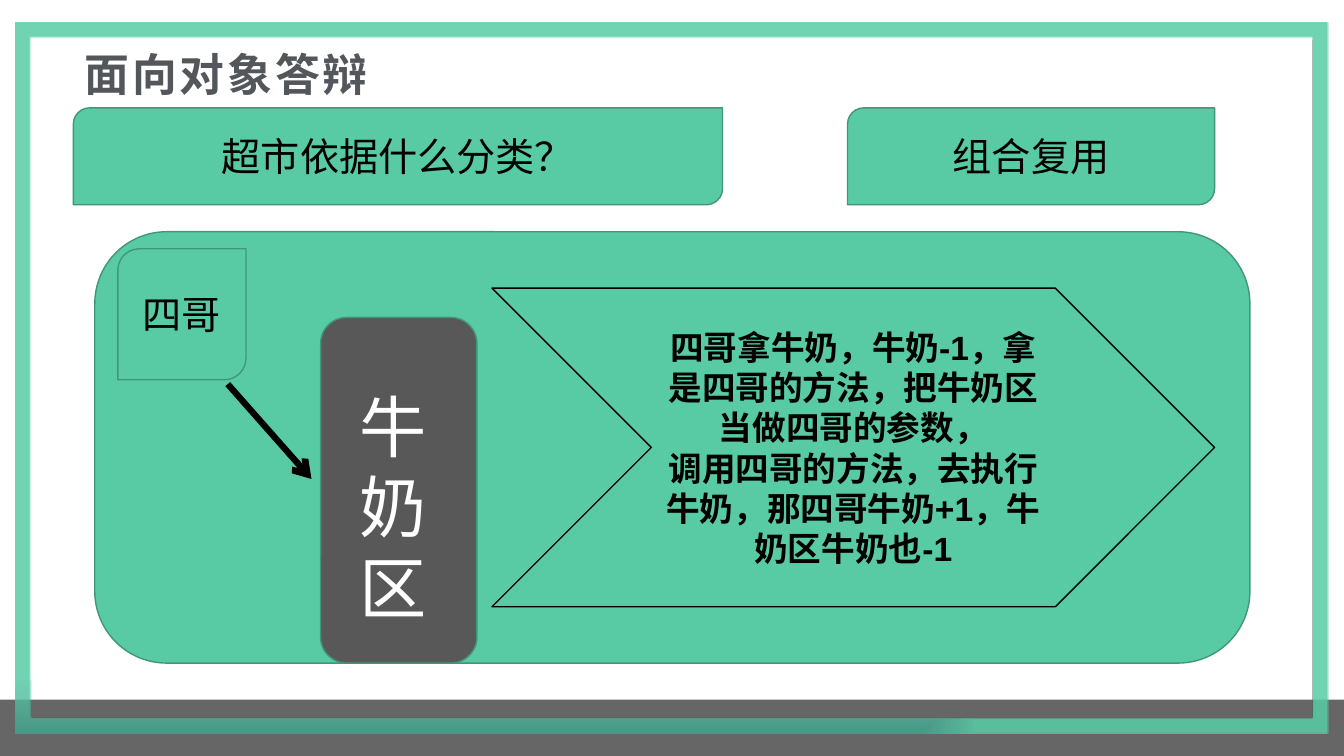
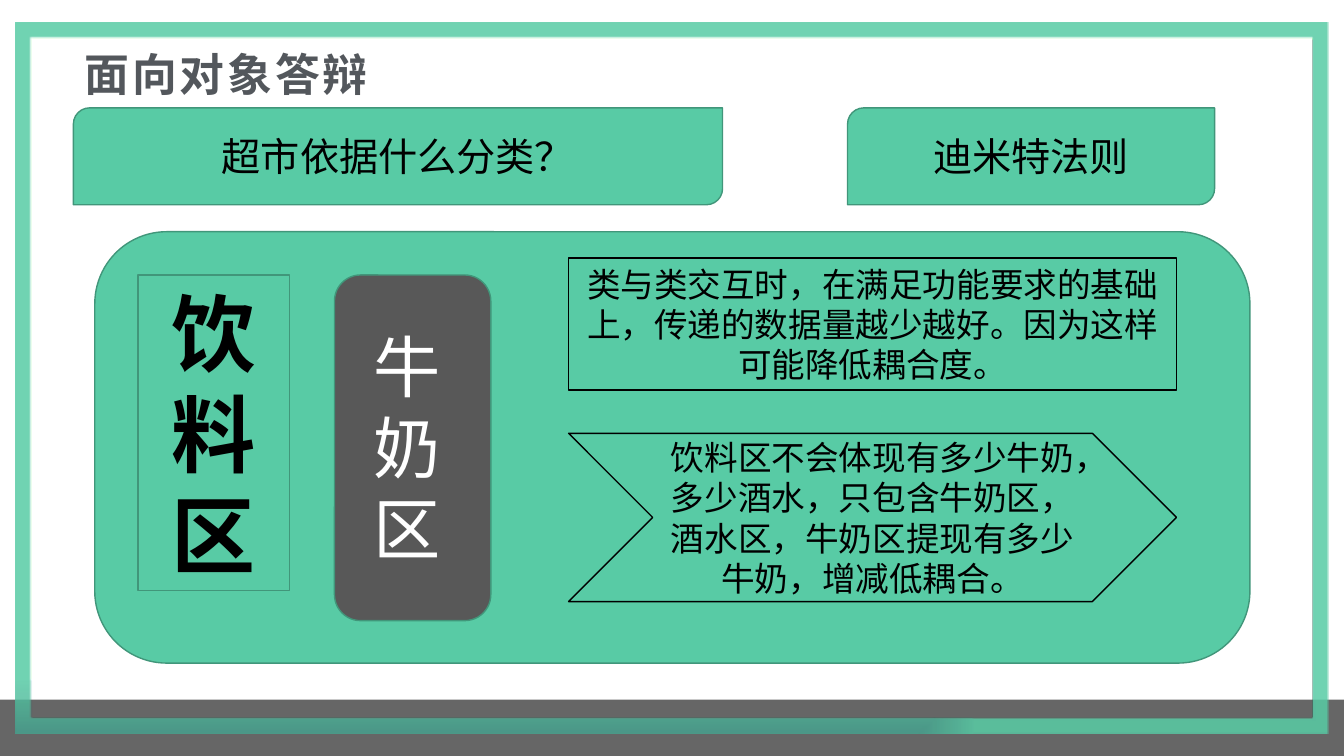
from dataclasses import dataclass

from lxml import etree
from pptx import Presentation
from pptx.dml.color import RGBColor
from pptx.enum import shapes, text
from pptx.oxml import ns, parse_xml
from pptx.util import Cm, Pt

GREEN = RGBColor(0x58, 0xCB, 0xA5)
EDGE = RGBColor(0x41, 0x96, 0x7A)
DARK = RGBColor(0x58, 0x58, 0x58)
BAND = RGBColor(0x26, 0x26, 0x26)
NAVY = RGBColor(0x04, 0x2E, 0x50)
TITLE = RGBColor(0x53, 0x57, 0x5C)
BLACK = RGBColor(0, 0, 0)
WHITE = RGBColor(0xFF, 0xFF, 0xFF)

SANS = "Noto Sans CJK SC"
TITLE_FONT = "Noto Sans CJK JP"
ARIAL = "Arial"

WIDTH, HEIGHT = 33.87, 19.05
KIND = shapes.MSO_SHAPE
LEFT, CENTER = text.PP_ALIGN.LEFT, text.PP_ALIGN.CENTER


@dataclass(frozen=True)
class Box:
    """Position and size in centimetres."""
    left: float
    top: float
    width: float
    height: float

    def emu(self) -> tuple:
        return Cm(self.left), Cm(self.top), Cm(self.width), Cm(self.height)


@dataclass(frozen=True)
class Style:
    size: int
    font: str = ARIAL
    color: RGBColor = BLACK
    bold: bool = False
    align: int = CENTER


@dataclass(frozen=True)
class Block:
    kind: int
    box: Box
    words: str = ""
    style: Style = Style(24)
    fill: RGBColor = GREEN
    line: RGBColor = EDGE


LABEL = Style(28, SANS)
BODY = Style(24)
BODY_BOLD = Style(24, bold=True)
ZONE = Style(60, bold=True)
MILK = Style(48, color=WHITE, align=LEFT)
TITLE_STYLE = Style(32, TITLE_FONT, TITLE, True, LEFT)


def write(tf, words: str, style: Style) -> None:
    tf.text = words
    tf.word_wrap = True
    for p in tf.paragraphs:
        p.alignment = style.align
        for r in p.runs:
            r.font.size = Pt(style.size)
            r.font.bold = style.bold
            r.font.name = style.font
            r.font.color.rgb = style.color
            east_asian = etree.SubElement(r.font._element, ns.qn("a:ea"))
            east_asian.set("typeface", style.font)


def add_block(slide, block: Block) -> None:
    sp = slide.shapes.add_shape(block.kind, *block.box.emu())
    sp.shadow.inherit = False
    sp.fill.solid()
    sp.fill.fore_color.rgb = block.fill
    sp.line.color.rgb = block.line
    sp.line.width = Pt(1)
    if block.words:
        sp.text_frame.vertical_anchor = text.MSO_ANCHOR.MIDDLE
        write(sp.text_frame, block.words, block.style)


def add_text(slide, box: Box, words: str, style: Style):
    tf = slide.shapes.add_textbox(*box.emu()).text_frame
    write(tf, words, style)
    return tf


def add_band(slide) -> None:
    band = Box(0, 17.63, WIDTH, HEIGHT - 17.63)
    sp = slide.shapes.add_shape(KIND.RECTANGLE, *band.emu())
    sp.shadow.inherit = False
    sp.line.fill.background()
    sp.fill.solid()
    sp.fill.fore_color.rgb = BAND
    color = sp._element.spPr.find(".//" + ns.qn("a:srgbClr"))
    etree.SubElement(color, ns.qn("a:alpha")).set("val", "70000")


def add_frame(slide) -> None:
    """Hollow border whose translucent gradient starts at the lower left."""
    x1, y1, x2, y2 = (Cm(v) for v in (0.4, 0.58, 33.48, 18.47))
    edge = Cm(0.39)
    builder = slide.shapes.build_freeform(x1, y1)
    builder.add_line_segments([(x2, y1), (x2, y2), (x1, y2)])
    x1, y1, x2, y2 = x1 + edge, y1 + edge, x2 - edge, y2 - edge
    builder.move_to(x1, y1)
    builder.add_line_segments([(x1, y2), (x2, y2), (x2, y1)])
    sp = builder.convert_to_shape()
    sp.shadow.inherit = False
    sp.line.fill.background()
    stops = "".join(
        f'<a:gs pos="{pos}000"><a:srgbClr val="{color}">'
        f'<a:alpha val="{alpha}000"/></a:srgbClr></a:gs>'
        for pos, color, alpha in ((38, NAVY, 52), (100, GREEN, 85)))
    gradient = parse_xml(
        f'<a:gradFill {ns.nsdecls("a")}><a:gsLst>{stops}</a:gsLst>'
        '<a:path path="rect"><a:fillToRect t="100000" r="100000"/></a:path>'
        '</a:gradFill>')
    sp._element.spPr.find(ns.qn("a:custGeom")).addnext(gradient)


def add_title(slide) -> None:
    tf = add_text(slide, Box(1.85, 1.22, 30.15, 1.22), "面向对象答辩", TITLE_STYLE)
    tf.margin_left, tf.margin_right = Cm(0.28), Cm(0.2)
    tf.margin_top = tf.margin_bottom = Cm(0.1)
    p = tf.paragraphs[0]
    p.line_spacing = 0.9
    p.runs[0].font._element.set("spc", "200")


def add_base(prs, topic: str):
    """New slide with border, title, two headers and the large panel."""
    slide = prs.slides.add_slide(prs.slide_layouts[6])
    add_band(slide)
    add_frame(slide)
    add_title(slide)
    for block in (
        Block(KIND.ROUND_2_DIAG_RECTANGLE, Box(1.85, 2.72, 16.36, 2.44),
              "超市依据什么分类？", LABEL),
        Block(KIND.ROUND_2_DIAG_RECTANGLE, Box(21.36, 2.72, 9.25, 2.44),
              topic, LABEL),
        Block(KIND.ROUNDED_RECTANGLE, Box(2.39, 5.84, 29.11, 10.87)),
    ):
        add_block(slide, block)
    return slide


def add_milk_zone(slide, left: float, top: float, text_top: float) -> None:
    add_block(slide, Block(KIND.ROUNDED_RECTANGLE, Box(left, top, 3.94, 8.71),
                           fill=DARK))
    add_text(slide, Box(left + 0.74, text_top, 2.44, 6.4), "牛奶区", MILK)


def add_arrow(slide, x1: float, y1: float, x2: float, y2: float) -> None:
    line = slide.shapes.add_connector(
        shapes.MSO_CONNECTOR.STRAIGHT, Cm(x1), Cm(y1), Cm(x2), Cm(y2))
    line.line.color.rgb = BLACK
    line.line.width = Pt(4.5)
    ln = line.line._get_or_add_ln()
    etree.SubElement(ln, ns.qn("a:tailEnd")).set("type", "arrow")
    etree.SubElement(line._element.spPr, ns.qn("a:effectLst"))


def add_reuse_slide(prs) -> None:
    slide = add_base(prs, "组合复用")
    add_milk_zone(slide, 8.08, 8, 9.58)
    add_block(slide, Block(
        KIND.CHEVRON, Box(12.4, 7.26, 18.21, 8.03),
        "四哥拿牛奶，牛奶-1，拿是四哥的方法，把牛奶区当做四哥的参数，\n"
        "调用四哥的方法，去执行牛奶，那四哥牛奶+1，牛奶区牛奶也-1",
        BODY_BOLD, line=BLACK))
    add_block(slide, Block(KIND.ROUND_2_DIAG_RECTANGLE,
                           Box(2.97, 6.27, 3.23, 3.3), "四哥", LABEL))
    add_arrow(slide, 5.74, 9.68, 7.85, 12.07)


def add_demeter_slide(prs) -> None:
    slide = add_base(prs, "迪米特法则")
    add_block(slide, Block(KIND.RECTANGLE, Box(3.48, 6.93, 3.81, 7.95),
                           "饮料区", ZONE))
    add_milk_zone(slide, 8.43, 6.93, 8.08)
    add_block(slide, Block(
        KIND.RECTANGLE, Box(14.33, 6.5, 15.32, 3.33),
        "类与类交互时，在满足功能要求的基础上，传递的数据量越少越好。"
        "因为这样可能降低耦合度。", BODY, line=BLACK))
    add_block(slide, Block(
        KIND.CHEVRON, Box(14.33, 10.92, 15.32, 4.24),
        "饮料区不会体现有多少牛奶，多少酒水，只包含牛奶区，酒水区，"
        "牛奶区提现有多少牛奶，增减低耦合。", BODY, line=BLACK))


def main() -> None:
    prs = Presentation()
    prs.slide_width, prs.slide_height = Cm(WIDTH), Cm(HEIGHT)
    add_reuse_slide(prs)
    add_demeter_slide(prs)
    prs.save("out.pptx")


if __name__ == "__main__":
    main()
